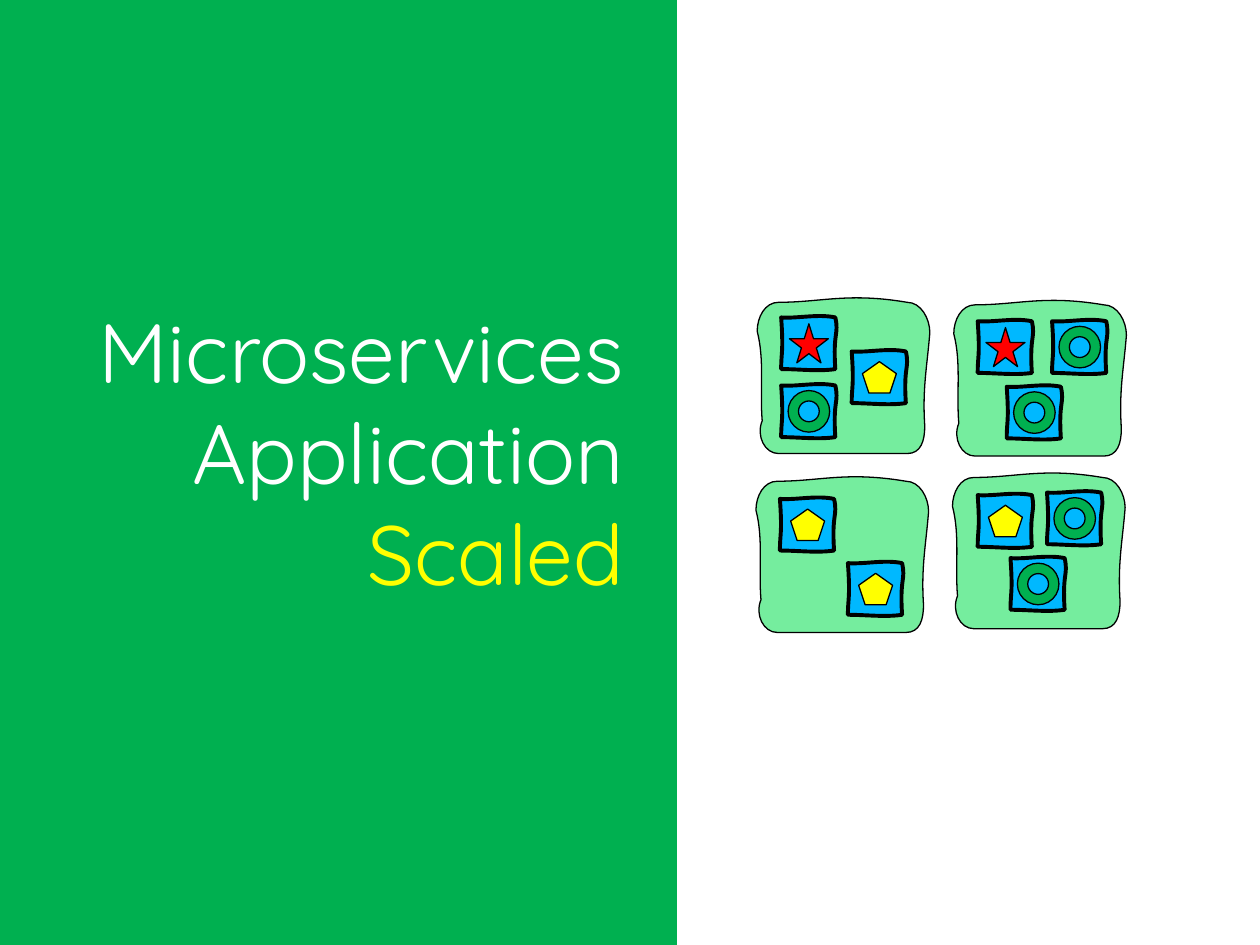
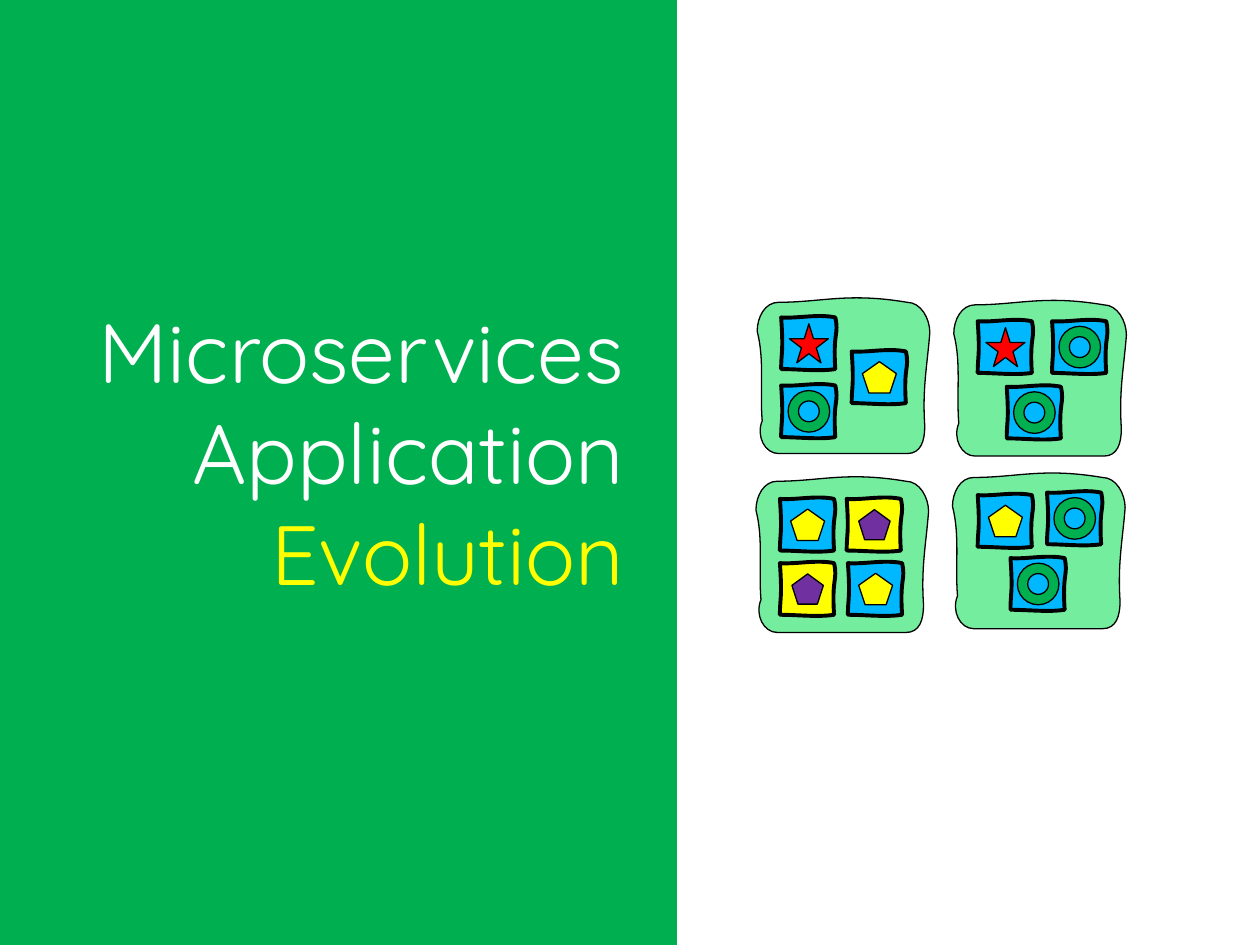
from lxml import etree
from pptx import Presentation
from pptx import util as u
from pptx.dml.color import RGBColor
from pptx.enum import shapes, text
from pptx.oxml import ns

# Theme
THEME = dict(
    green="00B050", pod="75ED9E", blue="00B8FF", red="FF0000", yellow="FFFF00",
    purple="7030A0", black="000000", white="FFFFFF",
    font="Quicksand", size=48, thin=0.75, thick=2.25)

# Content: title accent, band top and height, services added last
TITLE = "Microservices\vApplication"
FIVE = ("five", 6.73, 4.46)
SLIDES = [
    ("Scaled", (-0.1, 7.75), [FIVE]),
    ("Evolution", (-0.15, 7.77), [FIVE, ("new", 6.19, 4.46), ("new", 6.72, 3.95)]),
]
PODS = [(7.56, 3.75), (6, 3.78), (7.57, 2.38), (6.01, 2.36)]
TILES = [
    ("star", 6.2, 2.51), ("ring", 8.35, 2.54), ("five", 6.76, 2.78),
    ("star", 7.76, 2.54), ("five", 6.19, 3.95), ("ring", 7.99, 3.06),
    ("ring", 6.2, 3.05), ("five", 7.76, 3.92), ("ring", 8.31, 3.9),
    ("ring", 8.02, 4.42),
]

# Service kinds: icon, width, height, icon colour, tile colour
M = shapes.MSO_SHAPE
KINDS = {
    "star": (M.STAR_5_POINT, 0.31, 0.31, "red", "blue"),
    "ring": (M.DONUT, 0.33, 0.33, "green", "blue"),
    "five": (M.REGULAR_PENTAGON, 0.27, 0.25, "yellow", "blue"),
    "new": (M.REGULAR_PENTAGON, 0.25, 0.24, "purple", "yellow"),
}

# Hand-drawn outlines: size, then start point, curves (three points), lines (one)
POD = (1.37, 1.24), [
    [(0, .27)],
    [(0, .16), (.06, .04), (.17, .04)],
    [(.51, .04), (.72, -.04), (1.19, .04)],
    [(1.3, .04), (1.37, .17), (1.37, .28)],
    [(1.35, .54), (1.31, .72), (1.33, 1.02)],
    [(1.33, 1.14), (1.3, 1.24), (1.19, 1.24)],
    [(.17, 1.24)],
    [(.06, 1.24), (-.01, 1.1), (.04, .98)],
    [(.02, .74), (.06, .5), (0, .27)],
]
TILE = (0.44, 0.43), [
    [(0, .01)],
    [(.13, .02), (.29, -.02), (.43, .01)],
    [(.46, .15), (.41, .12), (.43, .42)],
    [(.3, .44), (.14, .42), (0, .42)],
    [(0, .28), (.02, .29), (0, .01)],
]


def tint(name):
    return RGBColor.from_string(THEME[name])


def paint(shape, fill, line="black", width="thin"):
    shape.shadow.inherit = False
    shape.fill.solid()
    shape.fill.fore_color.rgb = tint(fill)
    shape.line.color.rgb = tint(line)
    shape.line.width = u.Pt(THEME[width])


def sketch(tree, outline, x, y):
    """Build a freeform box of the outline's size, then give it curved edges."""
    (w, h), parts = outline
    box = [(x, y), (x + w, y), (x + w, y + h), (x, y + h)]
    pts = [tuple(map(u.Inches, p)) for p in box]
    pen = tree.build_freeform(*pts[0])
    pen.add_line_segments(pts[1:])
    shape = pen.convert_to_shape()
    track = shape.element.find(".//" + ns.qn("a:path"))
    for node in list(track):
        track.remove(node)
    for i, part in enumerate(parts):
        tag = "a:moveTo" if i == 0 else "a:cubicBezTo" if len(part) == 3 else "a:lnTo"
        step = etree.SubElement(track, ns.qn(tag))
        for a, b in part:
            etree.SubElement(step, ns.qn("a:pt"), x=str(u.Inches(a)), y=str(u.Inches(b)))
    etree.SubElement(track, ns.qn("a:close"))
    return shape


def service(tree, kind, x, y):
    icon, w, h, color, back = KINDS[kind]
    wide, high = TILE[0]
    group = tree.add_group_shape().shapes
    paint(sketch(group, TILE, x, y), back, width="thick")
    spot = (x + (wide - w) / 2, y + (high - h) / 2, w, h)
    paint(group.add_shape(icon, *map(u.Inches, spot)), color)


def title(tree, accent, top, high):
    band = tree.add_shape(M.RECTANGLE, *map(u.Inches, (-0.21, top, 5.59, high)))
    paint(band, "green", "white")
    frame = tree.add_textbox(*map(u.Inches, (0.27, 2.33, 4.78, 2.52))).text_frame
    frame.word_wrap = False
    frame.auto_size = text.MSO_AUTO_SIZE.SHAPE_TO_FIT_TEXT
    look = dict(name=THEME["font"], size=u.Pt(THEME["size"]))
    for i, (words, color) in enumerate([(TITLE, "white"), (accent, "yellow")]):
        para = frame.add_paragraph() if i else frame.paragraphs[0]
        para.text = words
        para.alignment = text.PP_ALIGN.RIGHT
        for run in para.runs:
            for key, value in look.items():
                setattr(run.font, key, value)
            run.font.color.rgb = tint(color)


# Build the slides
deck = Presentation()
deck.slide_width, deck.slide_height = u.Inches(10), u.Inches(7.5)
for accent, band, late in SLIDES:
    tree = deck.slides.add_slide(deck.slide_layouts[6]).shapes
    for spot in PODS:
        paint(sketch(tree, POD, *spot), "pod")
    for tile in TILES:
        service(tree, *tile)
    title(tree, accent, *band)
    for tile in late:
        service(tree, *tile)
deck.save("out.pptx")
